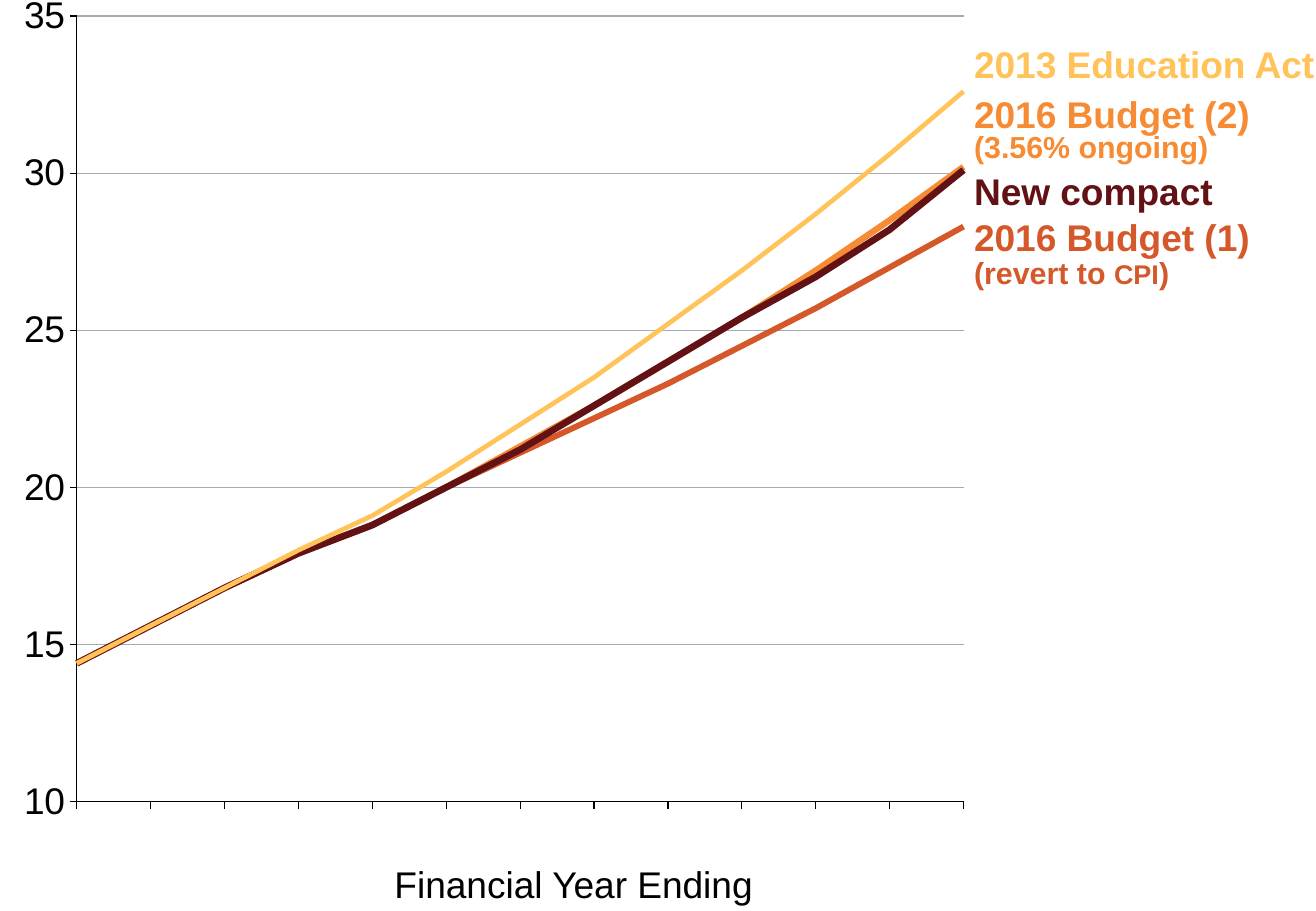
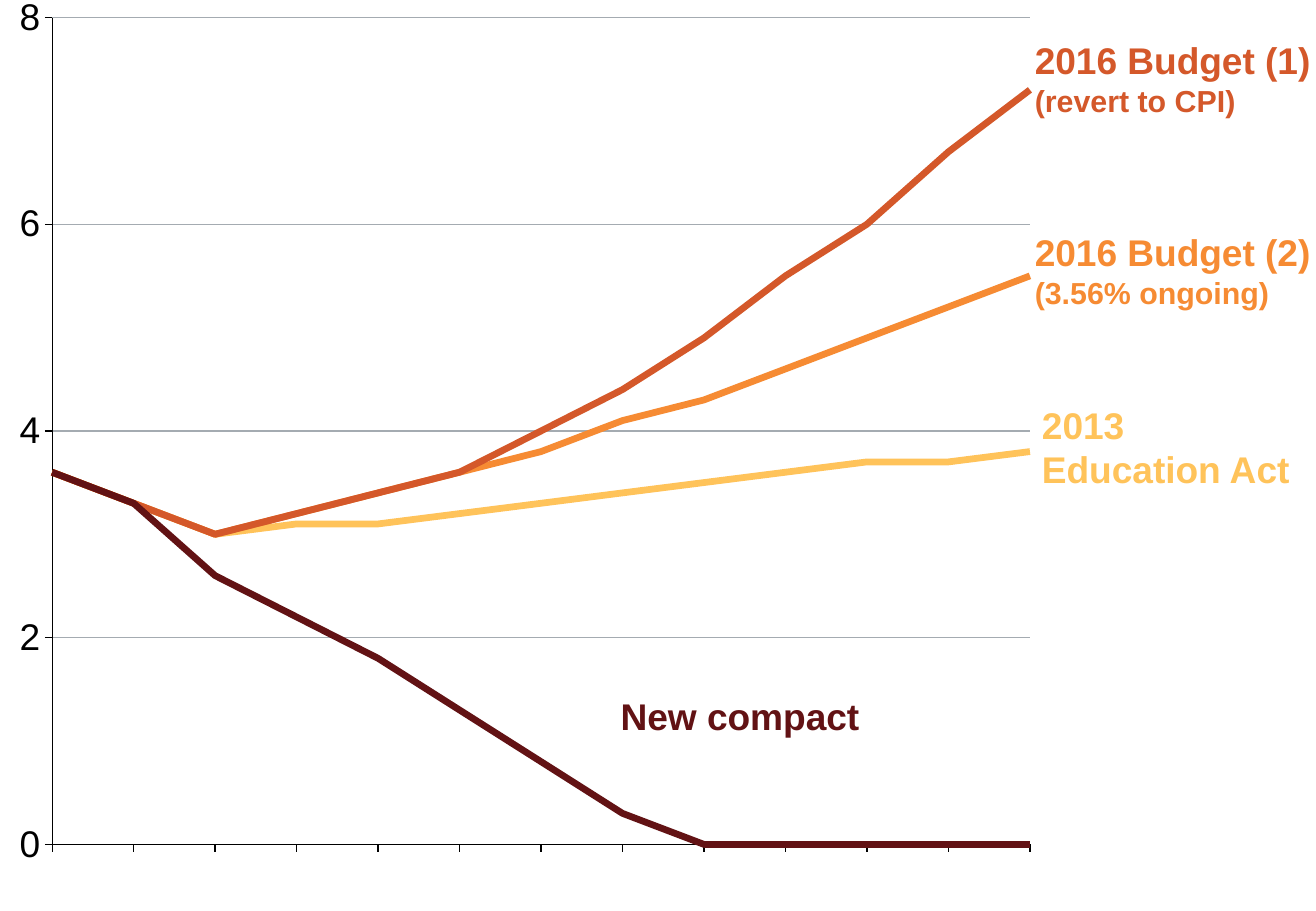
from dataclasses import dataclass

from lxml import etree
from pptx import Presentation
from pptx.chart.data import CategoryChartData
from pptx.dml.color import RGBColor
from pptx.enum.chart import XL_CHART_TYPE, XL_TICK_LABEL_POSITION, XL_TICK_MARK
from pptx.enum.text import MSO_AUTO_SIZE
from pptx.oxml.ns import qn
from pptx.util import Cm, Pt

LINE_CHART = XL_CHART_TYPE.LINE
NO_LABELS = XL_TICK_LABEL_POSITION.NONE
TICK_OUTSIDE, TICK_NONE = XL_TICK_MARK.OUTSIDE, XL_TICK_MARK.NONE
GROW = MSO_AUTO_SIZE.SHAPE_TO_FIT_TEXT
BLANK_LAYOUT = 6


@dataclass(frozen=True)
class Theme:
    font: str = "Arial"
    ink: str = "000000"
    grid: str = "A4ABB1"
    act: str = "FFC35A"
    budget_1: str = "D4582A"
    budget_2: str = "F68B33"
    compact: str = "621214"
    main: float = 22
    detail: float = 18
    small: float = 16
    hairline: float = 0.75


THEME = Theme()
YEARS = [str(year) for year in range(2015, 2028)]

# Text insets in cm: left, top, right, bottom
PLAIN = (0.25, 0.13, 0.25, 0.13)
BESIDE_LINE = (0.2, 0.13, 0.1, 0.13)
TIGHT = (0.1, 0.1, 0.1, 0.1)

# Each series: name, colour, line width in points, values
SPENDING = [
    ("2016 Budget (1)", THEME.budget_1, 3.5,
     [14.4, 15.6, 16.8, 17.9, 18.8, 20, 21.1, 22.2, 23.3, 24.5, 25.7, 27, 28.3]),
    ("2016 Budget (2)", THEME.budget_2, 3.75,
     [14.4, 15.6, 16.8, 17.9, 18.8, 20, 21.3, 22.6, 24, 25.4, 26.9, 28.5, 30.2]),
    ("New compact", THEME.compact, 4,
     [14.4, 15.6, 16.8, 17.9, 18.8, 20, 21.2, 22.6, 24, 25.4, 26.7, 28.2, 30.1]),
    ("2013 Education Act", THEME.act, 2.75,
     [14.4, 15.6, 16.8, 18, 19.1, 20.5, 22, 23.5, 25.2, 26.9, 28.7, 30.6, 32.6]),
]
GAP = [
    ("2013 Education Act", THEME.act, 4,
     [3.6, 3.3, 3, 3.1, 3.1, 3.2, 3.3, 3.4, 3.5, 3.6, 3.7, 3.7, 3.8]),
    ("2016 Budget (2)", THEME.budget_2, 4,
     [3.6, 3.3, 3, 3.2, 3.4, 3.6, 3.8, 4.1, 4.3, 4.6, 4.9, 5.2, 5.5]),
    ("2016 Budget (1)", THEME.budget_1, 4,
     [3.6, 3.3, 3, 3.2, 3.4, 3.6, 4, 4.4, 4.9, 5.5, 6, 6.7, 7.3]),
    ("New compact", THEME.compact, 4,
     [3.6, 3.3, 2.6, 2.2, 1.8, 1.3, 0.8, 0.3, 0, 0, 0, 0, 0]),
]


def style_line(line, color, width):
    line.color.rgb = RGBColor.from_string(color)
    line.width = Pt(width)


def style_font(font, color, size, bold=False):
    font.name = THEME.font
    font.size = Pt(size)
    font.bold = bold
    font.color.rgb = RGBColor.from_string(color)


def place_plot(chart, area):
    """Fix the inner plot area, as fractions of the chart."""
    plot_area = chart._chartSpace.chart.plotArea
    for old in plot_area.findall(qn("c:layout")):
        plot_area.remove(old)
    layout = etree.Element(qn("c:layout"))
    manual = etree.SubElement(layout, qn("c:manualLayout"))
    settings = [("layoutTarget", "inner"), ("xMode", "edge"), ("yMode", "edge")]
    for tag, value in settings + list(zip("xywh", area)):
        etree.SubElement(manual, qn(f"c:{tag}")).set("val", str(value))
    plot_area.insert(0, layout)


def start_lines_on_axis(value_axis):
    """Put the first and last category on the plot's edges."""
    axis = value_axis._element
    for old in axis.findall(qn("c:crossBetween")):
        axis.remove(old)
    between = etree.Element(qn("c:crossBetween"))
    between.set("val", "midCat")
    axis.find(qn("c:crosses")).addnext(between)


def add_line_chart(slide, box, plot, series_rows, scale):
    data = CategoryChartData()
    data.categories = YEARS
    for name, _, _, values in series_rows:
        data.add_series(name, values)
    chart = slide.shapes.add_chart(LINE_CHART, *map(Cm, box), data).chart
    chart.has_legend = False
    chart.has_title = False
    style_font(chart.font, THEME.ink, THEME.detail)
    place_plot(chart, plot)

    # Axes
    years, amounts = chart.category_axis, chart.value_axis
    for axis in (years, amounts):
        axis.major_tick_mark = TICK_OUTSIDE
        axis.minor_tick_mark = TICK_NONE
        style_line(axis.format.line, THEME.ink, THEME.hairline)
        style_font(axis.tick_labels.font, THEME.ink, THEME.main)
    years.tick_label_position = NO_LABELS
    years.has_major_gridlines = False
    start_lines_on_axis(amounts)
    amounts.minimum_scale, amounts.maximum_scale, amounts.major_unit = scale
    amounts.tick_labels.number_format = "0"
    amounts.tick_labels.number_format_is_linked = False
    amounts.has_major_gridlines = True
    style_line(amounts.major_gridlines.format.line, THEME.grid, THEME.hairline)

    # Series lines
    for series, (_, color, width, _) in zip(chart.plots[0].series, series_rows):
        series.smooth = False
        style_line(series.format.line, color, width)


def add_label(slide, box, color, lines, insets=PLAIN, spacing=1.0, bold=True):
    """Add text; each line is a list of (text, size) pieces."""
    frame = slide.shapes.add_textbox(*map(Cm, box)).text_frame
    frame.word_wrap = True
    frame.auto_size = GROW
    (frame.margin_left, frame.margin_top,
     frame.margin_right, frame.margin_bottom) = map(Cm, insets)
    for index, pieces in enumerate(lines):
        paragraph = frame.add_paragraph() if index else frame.paragraphs[0]
        paragraph.line_spacing = spacing
        for text, size in pieces:
            run = paragraph.add_run()
            run.text = text
            style_font(run.font, color, size, bold)


def build_spending_slide(slide):
    add_line_chart(slide, (0, -0.33, 27.23, 18.54), (0.059, 0.036, 0.681, 0.886),
                   SPENDING, (10, 35, 5))
    # Line names: top, width, height, colour, line spacing, lines
    names = [
        (0.74, 7.85, 1.19, THEME.act, 1.0, [[("2013 Education Act", THEME.main)]]),
        (3.4, 6.88, 1.19, THEME.compact, 1.0, [[("New compact", THEME.main)]]),
        (1.96, 6.12, 1.57, THEME.budget_2, 0.8,
         [[("2016 Budget (2)", THEME.main)], [("(3.56% ongoing)", THEME.detail)]]),
        (4.5, 6.15, 1.7, THEME.budget_1, 0.85,
         [[("2016 Budget (1)", THEME.main)],
          [("(revert to ", THEME.detail), ("CPI", THEME.small), (")", THEME.detail)]]),
    ]
    for top, width, height, color, spacing, lines in names:
        add_label(slide, (20.17, top, width, height), color, lines,
                  BESIDE_LINE, spacing)
    # Axis title
    add_label(slide, (8, 17.88, 8.2, 1.19), THEME.ink,
              [[("Financial Year Ending", THEME.main)]], bold=False)


def build_gap_slide(slide):
    add_line_chart(slide, (-0.56, -0.25, 27.05, 19.3), (0.061, 0.032, 0.756, 0.896),
                   GAP, (0, 8, 2))
    # Budget names
    budgets = [
        (0.69, THEME.budget_1, "2016 Budget (1)", "(revert to CPI)"),
        (4.7, THEME.budget_2, "2016 Budget (2)", "(3.56% ongoing)"),
    ]
    for top, color, name, detail in budgets:
        add_label(slide, (21.54, top, 6.12, 1.93), color,
                  [[(name, THEME.main)], [(detail, THEME.detail)]], TIGHT)
    # Other line names
    add_label(slide, (21.54, 8.28, 5.97, 2.13), THEME.act,
              [[("2013", THEME.main)], [("Education Act", THEME.main)]])
    add_label(slide, (12.73, 14.38, 5.8, 1.19), THEME.compact,
              [[("New compact", THEME.main)]])


def main():
    deck = Presentation()
    deck.slide_width, deck.slide_height = Cm(27.52), Cm(19.05)
    for build in (build_spending_slide, build_gap_slide):
        build(deck.slides.add_slide(deck.slide_layouts[BLANK_LAYOUT]))
    deck.save("out.pptx")


if __name__ == "__main__":
    main()
